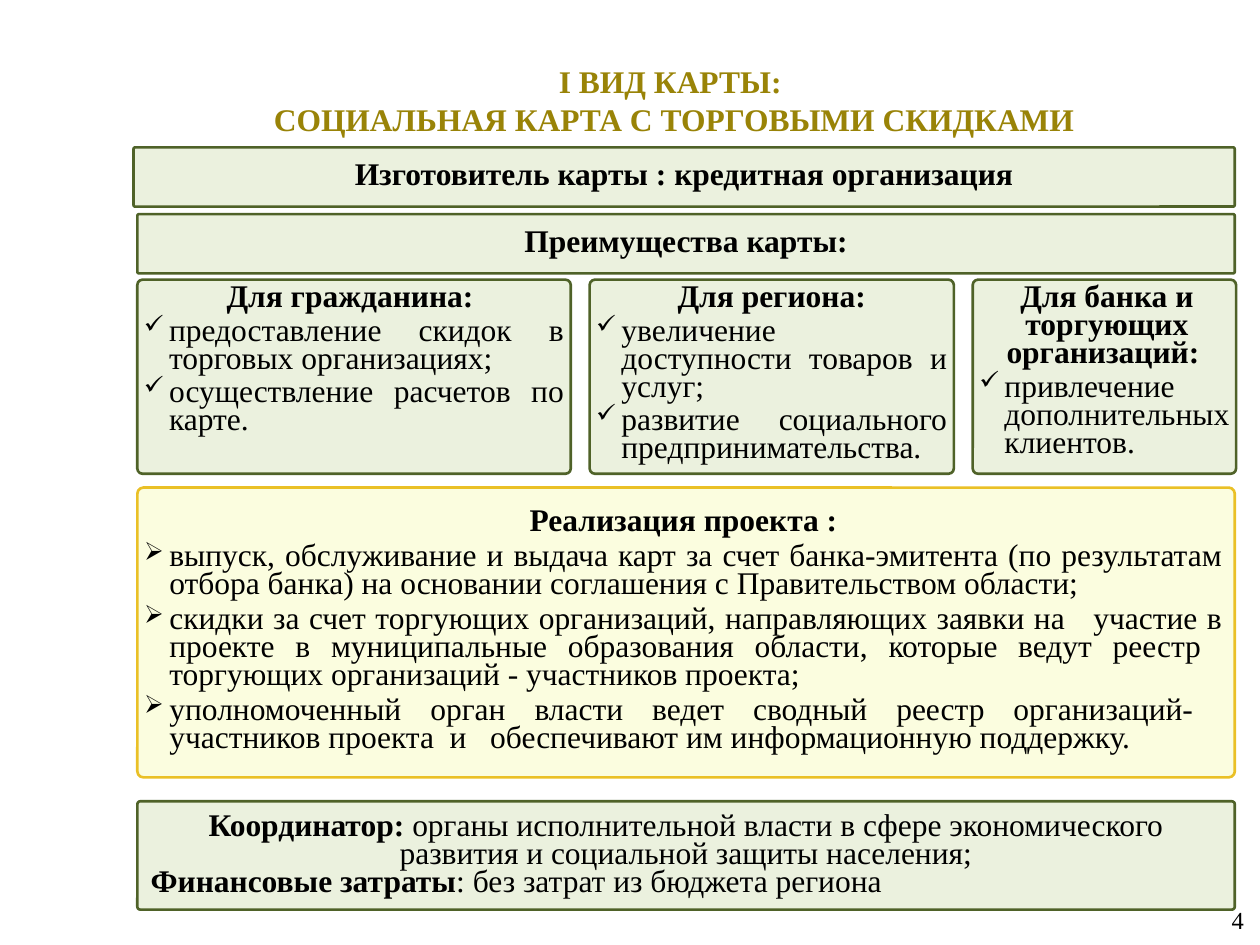
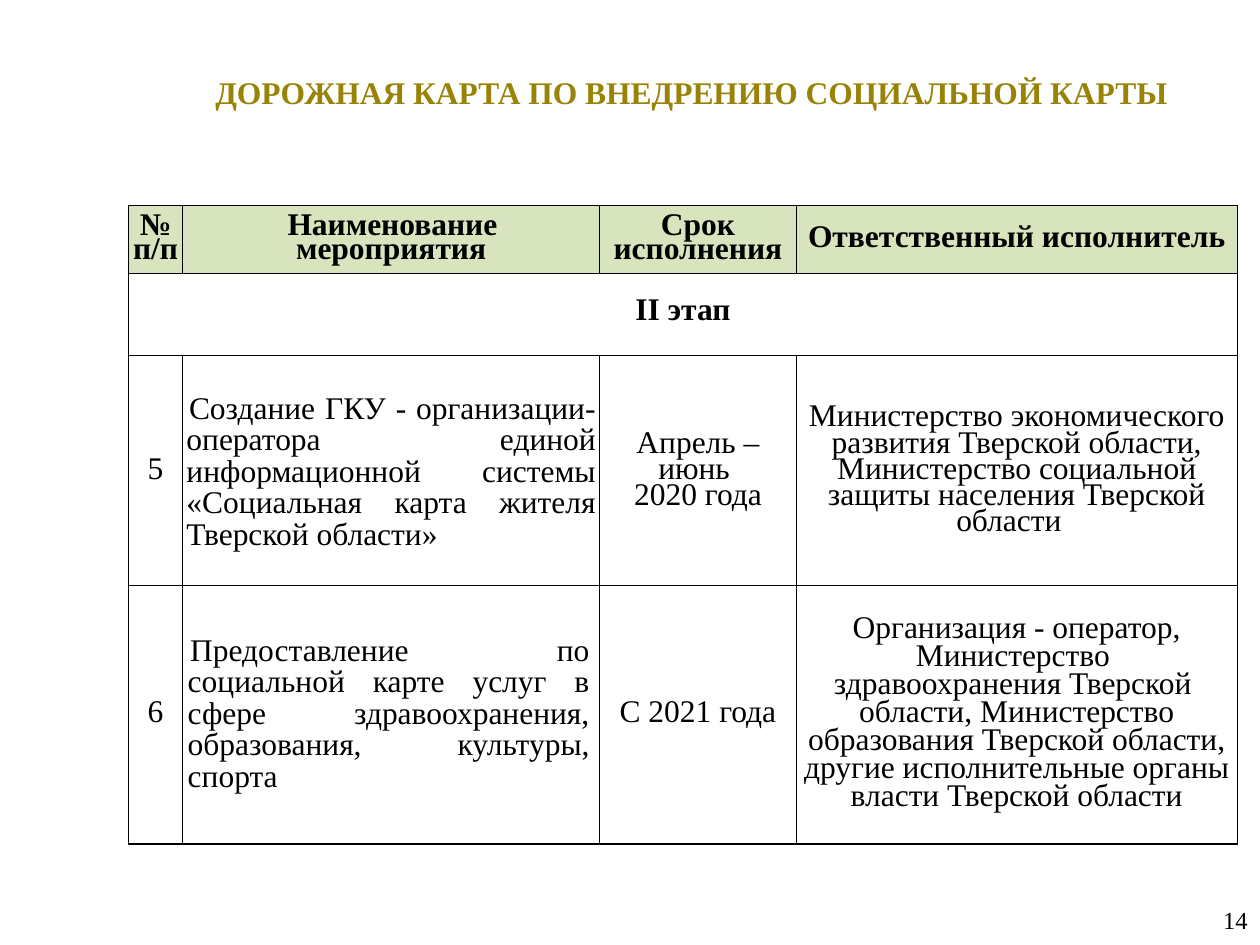
import pptx
import pptx.util
import pptx.dml.color
import pptx.enum.shapes
import pptx.enum.text
import pptx.oxml.ns
import lxml.etree

Inches = pptx.util.Inches
Pt = pptx.util.Pt
ALIGN = pptx.enum.text.PP_ALIGN
ANCHOR = pptx.enum.text.MSO_ANCHOR

# Shared style
FONT = "Times New Roman"
TEXT_SIZE = 18
COLORS = {
    "title": "998307",
    "text": "000000",
    "green": "EBF1DE",
    "green_line": "4F6228",
    "yellow": "FBFDDF",
    "yellow_line": "EAC026",
    "table_header": "D7E4BD",
    "border": "000000",
}
LEFT, WIDTH = 1.09, 8.71
BAND_INSETS = (0.1, 0.04, 0.1, 0.02)

# Content of the card slide
CARD_TITLE = ["I ВИД КАРТЫ:", " СОЦИАЛЬНАЯ КАРТА С ТОРГОВЫМИ СКИДКАМИ"]
MAKER = "Изготовитель карты : кредитная организация"
BENEFITS = "Преимущества карты:"
BENEFIT_CARDS = [  # width, right inset, heading, points
    (3.44, 0.04, "Для гражданина: ", [
        "предоставление скидок в торговых организациях;",
        "осуществление расчетов по карте."]),
    (2.89, 0.04, "Для региона:", [
        "увеличение доступности товаров и услуг;",
        "развитие социального предпринимательства."]),
    (2.09, 0, "Для банка и торгующих организаций: ", [
        "привлечение дополнительных клиентов."]),
]
CARD_GAP = 0.15
PROJECT_HEADING = "Реализация проекта :"
PROJECT_POINTS = [
    "выпуск, обслуживание и выдача карт за счет банка-эмитента (по результатам "
    "отбора банка) на основании соглашения с Правительством области;",
    "скидки за счет торгующих организаций, направляющих заявки на   участие в "
    "проекте в муниципальные образования области, которые ведут реестр  "
    "торгующих организаций - участников проекта;",
    "уполномоченный орган власти ведет сводный реестр организаций-  участников "
    "проекта  и   обеспечивают им информационную поддержку. ",
]
COORDINATION = [
    (ALIGN.CENTER, "Координатор: ",
     "органы исполнительной власти в сфере экономического развития и "
     "социальной защиты населения;"),
    (ALIGN.JUSTIFY, "Финансовые затраты", ": без затрат из бюджета региона  "),
]

# Content of the roadmap slide
ROADMAP_TITLE = ["ДОРОЖНАЯ КАРТА ПО ВНЕДРЕНИЮ СОЦИАЛЬНОЙ КАРТЫ"]
ROADMAP_COLUMNS = [0.43, 3.31, 1.56, 3.5]
ROADMAP_ROWS = [  # height, line spacing, cell texts
    (0.54, 14, ["№ п/п", "Наименование мероприятия", "Срок исполнения",
                "Ответственный исполнитель"]),
    (0.65, 15, ["II этап"]),
    (1.83, 15, [
        "5",
        "Создание ГКУ - организации-оператора  единой информационной системы "
        "«Социальная карта жителя Тверской области»",
        "Апрель – июнь \v2020 года",
        "Министерство экономического развития Тверской области, Министерство "
        "социальной защиты населения Тверской области  "]),
    (2.05, 16, [
        "6",
        "Предоставление по социальной карте услуг в сфере  здравоохранения, "
        "образования, культуры, спорта",
        "С 2021 года",
        "Организация - оператор, Министерство  здравоохранения Тверской  области, "
        "Министерство образования Тверской области, другие исполнительные органы "
        "власти Тверской области"]),
]


def rgb(name):
    return pptx.dml.color.RGBColor.from_string(COLORS[name])


def add_element(parent, tag, **attributes):
    return lxml.etree.SubElement(parent, pptx.oxml.ns.qn(tag), attributes)


def format_runs(paragraph, color="text", size=TEXT_SIZE, bold=False):
    for run in paragraph.runs:
        run.font.name = FONT
        run.font.size = Pt(size)
        run.font.bold = bold
        run.font.color.rgb = rgb(color)


def set_insets(target, insets):
    (target.margin_left, target.margin_top,
     target.margin_right, target.margin_bottom) = map(Inches, insets)


def add_slide(presentation, title_lines, title_at, number, number_left):
    """Add a slide with the shared title style and page number."""
    slide = presentation.slides.add_slide(presentation.slide_layouts[5])
    title = slide.shapes.title
    title.left, title.top, title.width, title.height = map(Inches, title_at)
    frame = title.text_frame
    frame.auto_size = pptx.enum.text.MSO_AUTO_SIZE.NONE
    frame.vertical_anchor = ANCHOR.TOP
    frame.text = "\n".join(title_lines)
    for paragraph in frame.paragraphs:
        paragraph.alignment = ALIGN.CENTER
        format_runs(paragraph, "title", bold=True)

    box = slide.shapes.add_textbox(
        Inches(number_left), Inches(7.1), Inches(2.33), Inches(0.4))
    box.text_frame.word_wrap = True
    box.text_frame.vertical_anchor = ANCHOR.MIDDLE
    box.text_frame.text = number
    paragraph = box.text_frame.paragraphs[0]
    paragraph.alignment = ALIGN.RIGHT
    format_runs(paragraph, size=14)
    return slide


def add_panel(slide, at, insets=BAND_INSETS, color="green", corner=0.027,
              anchor=ANCHOR.MIDDLE):
    """Add a rounded panel and return its text frame."""
    shape = slide.shapes.add_shape(
        pptx.enum.shapes.MSO_SHAPE.ROUNDED_RECTANGLE, *map(Inches, at))
    shape.adjustments[0] = corner
    shape.shadow.inherit = False
    shape.fill.solid()
    shape.fill.fore_color.rgb = rgb(color)
    shape.line.color.rgb = rgb(color + "_line")
    shape.line.width = Pt(1.5)
    frame = shape.text_frame
    frame.word_wrap = True
    frame.vertical_anchor = anchor
    set_insets(frame, insets)
    return frame


def write_heading(frame, text):
    frame.text = text
    paragraph = frame.paragraphs[0]
    paragraph.alignment = ALIGN.CENTER
    paragraph.line_spacing = Pt(16)
    format_runs(paragraph, bold=True)


def write_list(frame, heading, points, bullet, gap):
    """Write a centred heading followed by justified bullet points."""
    write_heading(frame, heading)
    for point in points:
        frame.paragraphs[-1].space_after = Pt(gap)
        paragraph = frame.add_paragraph()
        paragraph.text = point
        properties = paragraph._p.get_or_add_pPr()
        properties.set("marL", str(Inches(0.2)))
        properties.set("indent", str(-Inches(0.2)))
        add_element(properties, "a:buSzPct", val="80000")
        add_element(properties, "a:buChar", char=bullet)
        paragraph.alignment = ALIGN.JUSTIFY
        paragraph.line_spacing = Pt(16)
        format_runs(paragraph)


def build_card_slide(presentation):
    slide = add_slide(presentation, CARD_TITLE, (1.06, 0.44, 8.52, 0.71), "4", 7.64)

    # Benefit bands and cards
    write_heading(add_panel(slide, (LEFT, 1.7, WIDTH, 0.47)), BENEFITS)
    write_heading(add_panel(slide, (1.06, 1.17, 8.74, 0.47)), MAKER)
    left = LEFT
    for width, right_inset, heading, points in BENEFIT_CARDS:
        frame = add_panel(slide, (left, 2.22, width, 1.54),
                          (0.04, 0.04, right_inset, 0), anchor=ANCHOR.TOP)
        write_list(frame, heading, points, "✓", 3)
        left += width + CARD_GAP

    # Project implementation
    frame = add_panel(slide, (LEFT, 3.87, WIDTH, 2.3), (0.04, 0.05, 0.08, 0.05),
                      "yellow", 0.021)
    write_list(frame, PROJECT_HEADING, PROJECT_POINTS, "➢", 4)

    # Coordinator and costs
    frame = add_panel(slide, (LEFT, 6.36, WIDTH, 0.86))
    for index, (alignment, label, text) in enumerate(COORDINATION):
        paragraph = frame.add_paragraph() if index else frame.paragraphs[0]
        paragraph.alignment = alignment
        paragraph.line_spacing = Pt(16)
        for part in (label, text):
            paragraph.add_run().text = part
        format_runs(paragraph)
        paragraph.runs[0].font.bold = True


def set_borders(cell, row, column):
    """Draw thick lines around the table and its header, thin ones inside."""
    last_row, last_column = len(ROADMAP_ROWS) - 1, len(ROADMAP_COLUMNS) - 1
    thick = {"L": column == 0, "R": column == last_column,
             "T": row <= 1, "B": row in (0, last_row)}
    for side, is_thick in thick.items():
        line = add_element(cell._tc.get_or_add_tcPr(), "a:ln" + side,
                           w=str(Pt(1 if is_thick else 0.5)))
        fill = add_element(line, "a:solidFill")
        add_element(fill, "a:srgbClr", val=COLORS["border"])


def build_roadmap_slide(presentation):
    slide = add_slide(presentation, ROADMAP_TITLE, (0.98, 0.53, 9.02, 0.38), "14", 7.67)
    heights = [height for height, _, _ in ROADMAP_ROWS]
    table = slide.shapes.add_table(
        len(heights), len(ROADMAP_COLUMNS), Inches(1.02), Inches(1.63),
        Inches(sum(ROADMAP_COLUMNS)), Inches(sum(heights))).table
    table.first_row = table.horz_banding = False
    for column, width in zip(table.columns, ROADMAP_COLUMNS):
        column.width = Inches(width)
    table.cell(1, 0).merge(table.cell(1, len(ROADMAP_COLUMNS) - 1))

    for row, (height, spacing, texts) in enumerate(ROADMAP_ROWS):
        table.rows[row].height = Inches(height)
        for column in range(len(ROADMAP_COLUMNS)):
            cell = table.cell(row, column)
            set_borders(cell, row, column)
            if row == 0:
                cell.fill.solid()
                cell.fill.fore_color.rgb = rgb("table_header")
            else:
                cell.fill.background()
            cell.vertical_anchor = ANCHOR.MIDDLE
            set_insets(cell, (0.03, 0.04 if row in (0, 2) else 0, 0.03, 0))
            if column >= len(texts):
                continue
            cell.text_frame.text = texts[column]
            paragraph = cell.text_frame.paragraphs[0]
            paragraph.alignment = ALIGN.CENTER
            paragraph.line_spacing = Pt(spacing)
            if column == 1:
                paragraph._p.get_or_add_pPr().set("indent", str(Inches(0.02)))
                if row > 1:
                    paragraph.alignment = ALIGN.JUSTIFY
                    paragraph.line_spacing = Pt(18)
            format_runs(paragraph, bold=row < 2)
    set_insets(table.cell(3, 1), (0.04, 0, 0.08, 0))


def main():
    presentation = pptx.Presentation()
    presentation.slide_width = Inches(10)
    presentation.slide_height = Inches(7.5)
    build_card_slide(presentation)
    build_roadmap_slide(presentation)
    presentation.save("out.pptx")


if __name__ == "__main__":
    main()
